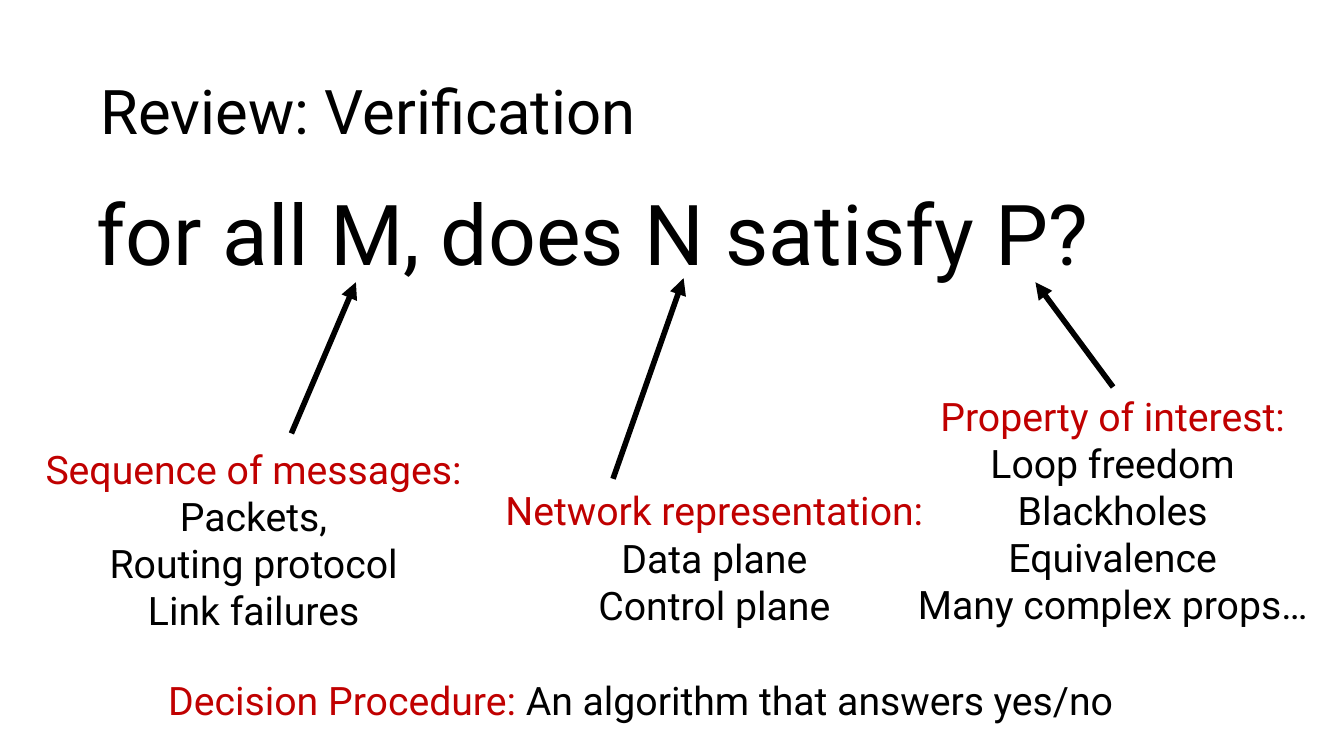
import pptx
import pptx.util
import pptx.dml.color
import pptx.enum.shapes
import pptx.enum.text
import pptx.oxml
import pptx.oxml.ns

Inches = pptx.util.Inches
Pt = pptx.util.Pt
ALIGN = pptx.enum.text.PP_ALIGN
ANCHOR = pptx.enum.text.MSO_ANCHOR

BLACK = pptx.dml.color.RGBColor(0x00, 0x00, 0x00)
RED = pptx.dml.color.RGBColor(0xC0, 0x00, 0x00)
FONT = "Roboto"

# Each note: box, arrow start, arrow tip, heading, items
NOTES = [
    ((0.22, 4.37, 4.59, 1.99), (2.89, 4.3), (3.53, 2.8),
     "Sequence of messages:",
     ["Packets,", "Routing protocol", "Link failures"]),
    ((4.91, 4.78, 4.35, 1.51), (6.08, 4.75), (6.78, 2.76),
     "Network representation:",
     ["Data plane", "Control plane"]),
    ((8.86, 3.84, 4.35, 2.46), (11.04, 3.84), (10.27, 2.8),
     "Property of interest:",
     ["Loop freedom", "Blackholes", "Equivalence", "Many complex props…"]),
]


def add_text(slide, box, lines, size, align=ALIGN.LEFT,
             anchor=ANCHOR.TOP, space=1.0):
    """Add a text box; each line is a list of (text, colour) runs."""
    frame = slide.shapes.add_textbox(*map(Inches, box)).text_frame
    frame.word_wrap = True
    frame.vertical_anchor = anchor
    for i, line in enumerate(lines):
        para = frame.add_paragraph() if i else frame.paragraphs[0]
        para.alignment = align
        para.line_spacing = space
        for text, color in line:
            run = para.add_run()
            run.text = text
            run.font.name = FONT
            run.font.size = Pt(size)
            run.font.color.rgb = color


def add_arrow(slide, start, tip):
    """Add a thick black arrow from start to tip."""
    arrow = slide.shapes.add_connector(
        pptx.enum.shapes.MSO_CONNECTOR.STRAIGHT,
        *map(Inches, start + tip))
    arrow.line.color.rgb = BLACK
    arrow.line.width = Pt(4)
    head = pptx.oxml.parse_xml(
        '<a:tailEnd %s type="triangle"/>' % pptx.oxml.ns.nsdecls("a"))
    arrow.line._get_or_add_ln().append(head)
    arrow._element.spPr.append(pptx.oxml.parse_xml(
        "<a:effectLst %s/>" % pptx.oxml.ns.nsdecls("a")))


def add_note(slide, box, start, tip, heading, items):
    """Add a red heading with its items and an arrow to the question."""
    add_arrow(slide, start, tip)
    lines = [[(heading, RED)]] + [[(item, BLACK)] for item in items]
    add_text(slide, box, lines, 28, ALIGN.CENTER)


def main():
    deck = pptx.Presentation()
    deck.slide_width = Inches(13.33)
    deck.slide_height = Inches(7.5)
    slide = deck.slides.add_slide(deck.slide_layouts[6])

    # Central question
    add_text(slide, (0.86, 1.82, 11.5, 1.04),
             [[("for all M, does N satisfy P?", BLACK)]], 60,
             anchor=ANCHOR.BOTTOM, space=0.9)

    # Notes on M, N and P
    for note in NOTES:
        add_note(slide, *note)

    # Closing line
    add_text(slide, (1.57, 6.66, 9.71, 0.57),
             [[("Decision Procedure:", RED),
               (" An algorithm that answers yes/no", BLACK)]], 28)

    # Slide heading
    add_text(slide, (0.9, 0.67, 11.97, 0.84),
             [[("Review: Verification", BLACK)]], 44)

    deck.save("out.pptx")


if __name__ == "__main__":
    main()
